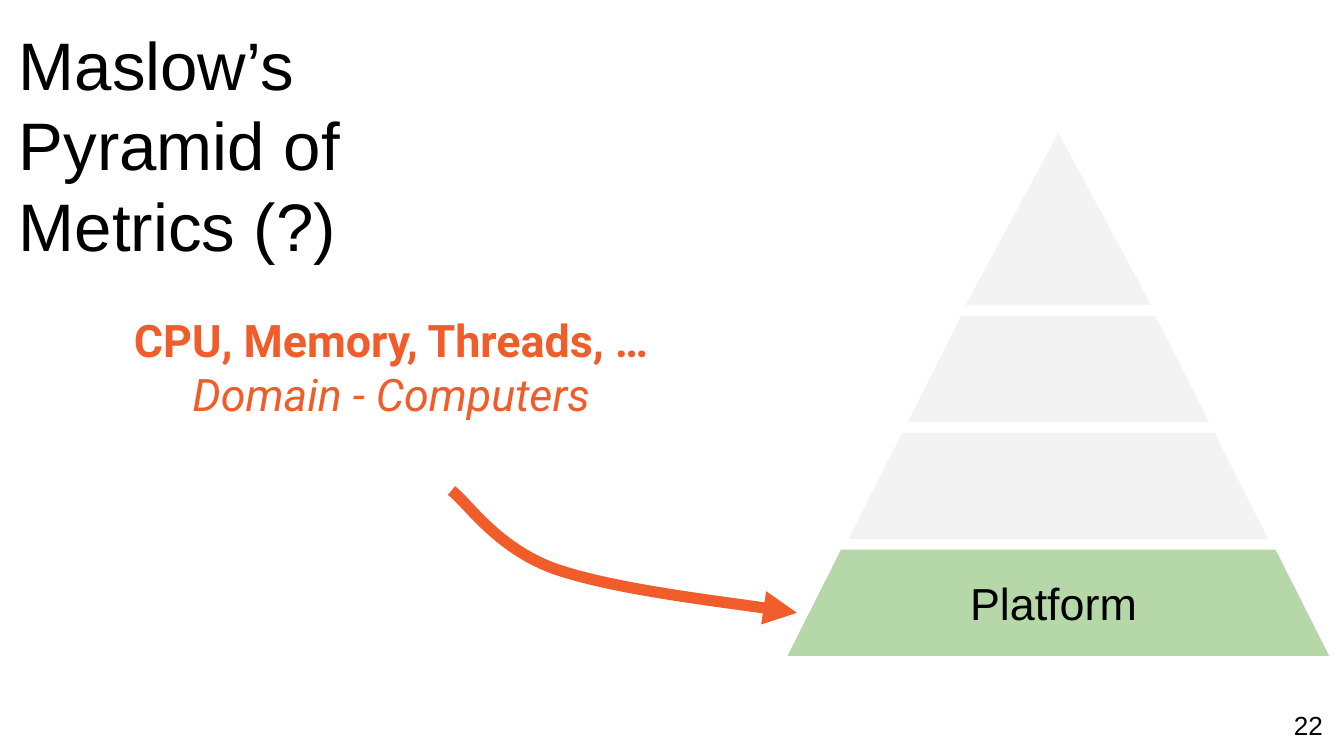
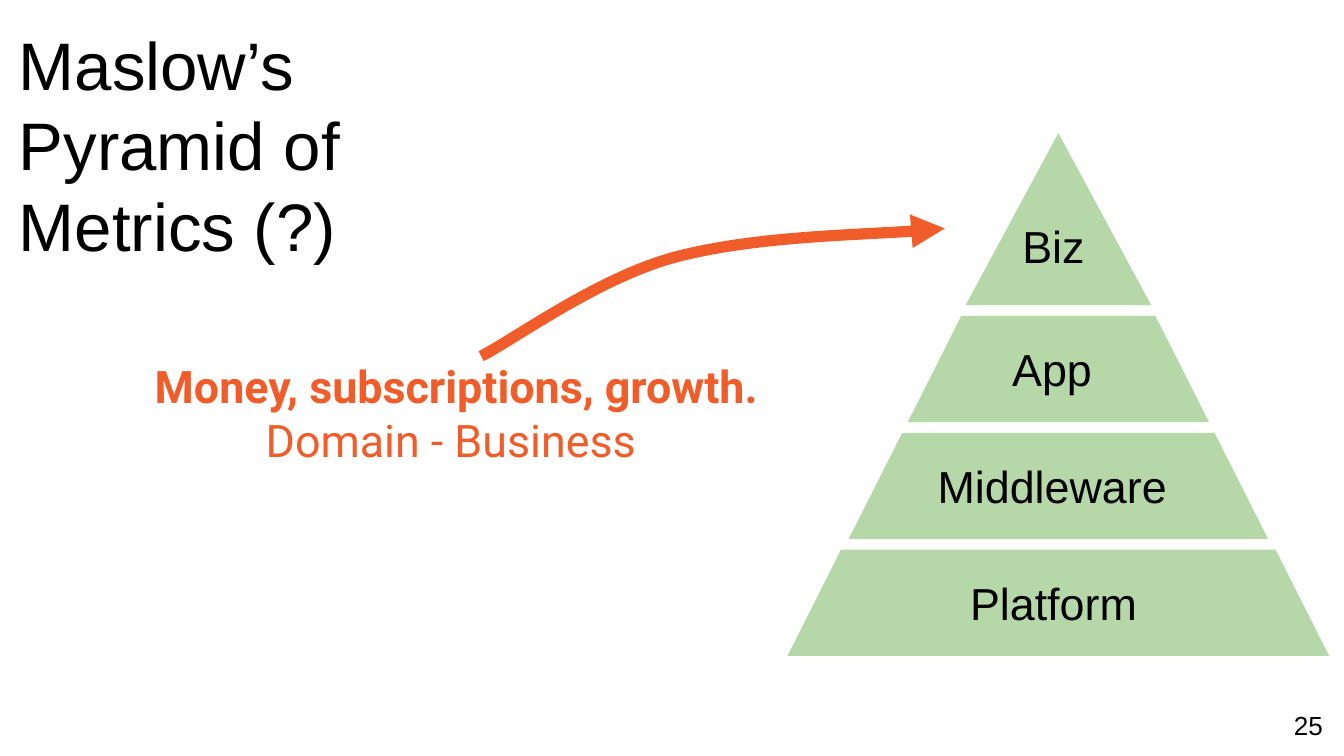
from lxml import etree
from pptx import Presentation
from pptx import util as u
from pptx.dml.color import RGBColor
from pptx.enum import shapes, text
from pptx.oxml import ns

PX = 4572
BLACK = RGBColor(0x00, 0x00, 0x00)
GREY = RGBColor(0xF3, 0xF3, 0xF3)
GREEN = RGBColor(0xB6, 0xD7, 0xA8)
ORANGE = RGBColor(0xF1, 0x5D, 0x2A)
MID = text.MSO_ANCHOR.MIDDLE
TOP = text.MSO_ANCHOR.TOP
LEFT = text.PP_ALIGN.LEFT
CENTER = text.PP_ALIGN.CENTER

TIERS = [
    ("Biz ", 276, 256, 172, 118),
    ("App ", 448, 158, 170, 30),
    ("Middleware ", 624, 158, 170, 30),
    ("Platform ", 806, 158, 172, 30),
]
GAP = 16

PAGES = [
    dict(
        num="22",
        lit={"Platform "},
        lines=("CPU, Memory, Threads, …", "Domain - Computers"),
        slant=True,
        box=(168, 446, 828, 402),
        curve=[(672, 730), (696, 748), (738, 814), (824, 846),
               (910, 876), (1126, 902), (1186, 912)],
    ),
    dict(
        num="25",
        lit={tier[0] for tier in TIERS},
        lines=("Money, subscriptions, growth.", "Domain - Business "),
        slant=False,
        box=(178, 514, 1002, 402),
        curve=[(716, 530), (764, 506), (886, 416), (1000, 384),
               (1116, 352), (1338, 348), (1406, 340)],
    ),
]


def scale(*vals):
    return [u.Emu(val * PX) for val in vals]


def style(shape, lines, size, face, color, align, anchor):
    frame = shape.text_frame
    frame.text = "\n".join(lines)
    frame.word_wrap = True
    frame.auto_size = text.MSO_AUTO_SIZE.NONE
    frame.vertical_anchor = anchor
    frame.margin_left = frame.margin_right = u.Emu(20 * PX)
    frame.margin_top = frame.margin_bottom = u.Emu(20 * PX)
    for para in frame.paragraphs:
        para.alignment = align
        para.line_spacing = 1.0
        for run in para.runs:
            run.font.size = u.Pt(size)
            run.font.name = face
            run.font.color.rgb = color
    return frame


def label(slide, box, line, size):
    shape = slide.shapes.add_textbox(*scale(*box))
    style(shape, [line], size, "Arial", BLACK, CENTER, MID)


def title(slide, box):
    shape = slide.shapes.title
    shape.left, shape.top, shape.width, shape.height = scale(*box)
    style(shape, ["Maslow’s Pyramid of Metrics (?)"], 36, "Arial", BLACK,
          LEFT, TOP)


def pyramid(slide, box, lit):
    left, top, width = box
    for rank, (name, wide, high, shift, drop) in enumerate(TIERS):
        kind = shapes.MSO_SHAPE.TRAPEZOID if rank else shapes.MSO_SHAPE.ISOSCELES_TRIANGLE
        side = left + (width - wide) // 2
        tier = slide.shapes.add_shape(kind, *scale(side, top, wide, high))
        tier.adjustments[0] = 0.504 if rank else 0.5
        tier.shadow.inherit = False
        tier.fill.solid()
        tier.fill.fore_color.rgb = GREEN if name in lit else GREY
        tier.line.fill.background()
        if name in lit:
            label(slide, (left + shift, top + drop, 466, 98), name, 24)
        top += high + GAP


def arrow(slide, knots):
    pen = slide.shapes.build_freeform(*knots[0], scale=PX)
    pen.add_line_segments(knots[1:], close=False)
    shape = pen.convert_to_shape()
    shape.shadow.inherit = False
    shape.fill.background()
    shape.line.color.rgb = ORANGE
    shape.line.width = u.Pt(6)
    route = next(shape.element.iter(ns.qn("a:path")))
    route.set("fill", "none")
    steps = route.findall(ns.qn("a:lnTo"))
    for start in range(0, len(steps), 3):
        bend = etree.SubElement(route, ns.qn("a:cubicBezTo"))
        for step in steps[start:start + 3]:
            bend.append(step[0])
            route.remove(step)
    line = shape.element.spPr.find(ns.qn("a:ln"))
    etree.SubElement(line, ns.qn("a:tailEnd"), type="triangle")


def note(slide, box, lines, slant):
    shape = slide.shapes.add_textbox(*scale(*box))
    frame = style(shape, lines, 24, "Roboto", ORANGE, CENTER, TOP)
    head, tail = frame.paragraphs
    head.runs[0].font.bold = True
    tail.runs[0].font.italic = slant


def page(deck, num, lit, lines, slant, box, curve):
    slide = deck.slides.add_slide(deck.slide_layouts[5])
    title(slide, (8, 14, 554, 402))
    pyramid(slide, (1172, 198, 806), lit)
    arrow(slide, curve)
    note(slide, box, lines, slant)
    label(slide, (1898, 1036, 98, 86), num, 14)


def main():
    deck = Presentation()
    deck.slide_width, deck.slide_height = scale(2000, 1125)
    for item in PAGES:
        page(deck, **item)
    deck.save("out.pptx")


if __name__ == "__main__":
    main()
